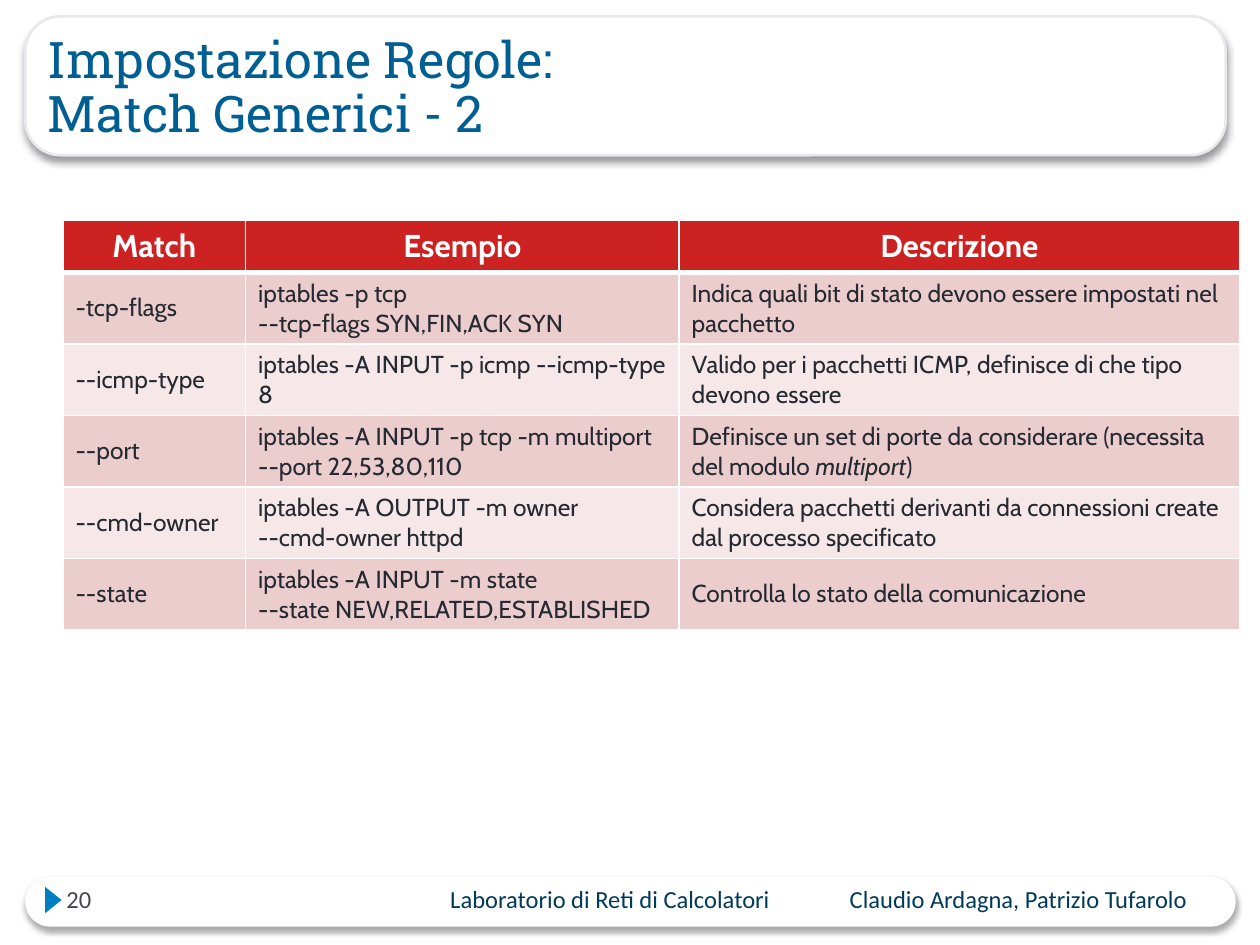
from dataclasses import dataclass

from lxml import etree
from pptx import Presentation, util as u
from pptx.dml import color as c
from pptx.enum import shapes as s, text as t
from pptx.oxml import ns


@dataclass(frozen=True)
class Theme:
    white: str = "FFFFFF"
    edge: str = "E7E9ED"
    marker: str = "007EC2"
    title: str = "005F92"
    footer: str = "003A59"
    number: str = "464653"
    header: str = "CC2222"
    ink: str = "252931"
    bands: tuple = ("ECCDCD", "F6E8E8")
    title_font: str = "Roboto Slab"
    table_font: str = "Cabin"
    footer_font: str = "Calibri"
    title_size: float = 28.8
    header_size: int = 18
    body_size: int = 14


theme = Theme()


def rgb(value):
    return c.RGBColor.from_string(value)


def write(para, spans, font, size, color, bold=False):
    for content, italic in spans:
        for index, line in enumerate(content.split("\n")):
            if index:
                para.add_line_break()
            span = para.add_run()
            span.text = line
            span.font.name = font
            span.font.size = u.Pt(size)
            span.font.color.rgb = rgb(color)
            span.font.bold = bold
            span.font.italic = italic


deck = Presentation()
deck.slide_width, deck.slide_height = u.Cm(25.4), u.Cm(19.05)
page = deck.slides.add_slide(deck.slide_layouts[6])

panels = [
    ((0.51, 0.33, 24.2, 2.8), 0.253, theme.edge, (40, 4, 3)),
    ((0.51, 17.68, 24.4, 1), 0.5, None, (32, 3.5, 2.2)),
]
for place, rounding, edge, (opacity, blur, distance) in panels:
    panel = page.shapes.add_shape(s.MSO_SHAPE.ROUNDED_RECTANGLE, *map(u.Cm, place))
    panel.adjustments[0] = rounding
    panel.fill.solid()
    panel.fill.fore_color.rgb = rgb(theme.white)
    if edge:
        panel.line.color.rgb = rgb(edge)
        panel.line.width = u.Pt(1.5)
    else:
        panel.line.fill.background()
    panel.shadow.inherit = False
    effects = panel.element.spPr.find(ns.qn("a:effectLst"))
    shadow = etree.SubElement(
        effects, ns.qn("a:outerShdw"), blurRad=str(u.Pt(blur)),
        dist=str(u.Pt(distance)), dir="5400000", rotWithShape="0")
    tone = etree.SubElement(shadow, ns.qn("a:srgbClr"), val="000000")
    etree.SubElement(tone, ns.qn("a:alpha"), val=str(opacity * 1000))

marker = page.shapes.add_shape(
    s.MSO_SHAPE.ISOSCELES_TRIANGLE, u.Cm(0.81), u.Cm(17.98), u.Cm(0.53), u.Cm(0.33))
marker.rotation = 90
marker.fill.solid()
marker.fill.fore_color.rgb = rgb(theme.marker)
marker.line.fill.background()
marker.shadow.inherit = False

left, right = t.PP_ALIGN.LEFT, t.PP_ALIGN.RIGHT
top, middle = t.MSO_ANCHOR.TOP, t.MSO_ANCHOR.MIDDLE
labels = [
    ((16.51, 17.7, 7.67, 1.02), "Claudio Ardagna, Patrizio Tufarolo", right, top, 1,
     theme.footer_font, theme.body_size, theme.footer),
    ((8.1, 17.7, 7.67, 1.02), "Laboratorio di Reti di Calcolatori", right, top, 1,
     theme.footer_font, theme.body_size, theme.footer),
    ((0.71, 0.43, 24, 2.74), "Impostazione Regole:\nMatch Generici - 2", left, middle, 0.9,
     theme.title_font, theme.title_size, theme.title),
    ((1.09, 17.7, 3.2, 1.02), "20", left, top, 1,
     theme.footer_font, theme.body_size, theme.number),
]
for place, content, align, anchor, spacing, font, size, color in labels:
    box = page.shapes.add_textbox(*map(u.Cm, place))
    box.text_frame.word_wrap = True
    box.text_frame.vertical_anchor = anchor
    para = box.text_frame.paragraphs[0]
    para.alignment = align
    para.line_spacing = spacing
    write(para, [(content, False)], font, size, color)

rows = [
    ("Match", "Esempio", "Descrizione"),
    ("-tcp-flags", "iptables -p tcp \n--tcp-flags SYN,FIN,ACK SYN",
     "Indica quali bit di stato devono essere impostati nel pacchetto"),
    ("--icmp-type", "iptables -A INPUT -p icmp --icmp-type 8",
     "Valido per i pacchetti ICMP, definisce di che tipo devono essere"),
    ("--port", "iptables -A INPUT -p tcp -m multiport \n--port 22,53,80,110",
     [("Definisce un set di porte da considerare (necessita del modulo ", False),
      ("multiport", True), (")", False)]),
    ("--cmd-owner", "iptables -A OUTPUT -m owner \n--cmd-owner httpd",
     "Considera pacchetti derivanti da connessioni create dal processo specificato"),
    ("--state", "iptables -A INPUT -m state \n--state NEW,RELATED,ESTABLISHED",
     "Controlla lo stato della comunicazione"),
]
widths = (3.68, 8.74, 11.3)
header_height, body_height = 1.04, 1.44
height = header_height + body_height * (len(rows) - 1)
table = page.shapes.add_table(
    len(rows), len(widths), u.Cm(1.27), u.Cm(4.45), u.Cm(sum(widths)), u.Cm(height)).table
for column, width in zip(table.columns, widths):
    column.width = u.Cm(width)

for row_index, row in enumerate(rows):
    is_header = row_index == 0
    table.rows[row_index].height = u.Cm(header_height if is_header else body_height)
    fill = theme.header if is_header else theme.bands[(row_index - 1) % 2]
    size = theme.header_size if is_header else theme.body_size
    color = theme.white if is_header else theme.ink
    borders = {"L": 1, "R": 1, "T": 3 if row_index == 1 else 1, "B": 3 if is_header else 1}
    for column_index, content in enumerate(row):
        cell = table.cell(row_index, column_index)
        cell.vertical_anchor = top if is_header else middle
        properties = cell._tc.get_or_add_tcPr()
        for side, weight in borders.items():
            border = etree.SubElement(properties, ns.qn(f"a:ln{side}"), w=str(u.Pt(weight)))
            paint = etree.SubElement(border, ns.qn("a:solidFill"))
            etree.SubElement(paint, ns.qn("a:srgbClr"), val=theme.white)
        cell.fill.solid()
        cell.fill.fore_color.rgb = rgb(fill)
        para = cell.text_frame.paragraphs[0]
        para.alignment = t.PP_ALIGN.CENTER if is_header else left
        spans = [(content, False)] if isinstance(content, str) else content
        write(para, spans, theme.table_font, size, color, is_header)

deck.save("out.pptx")
